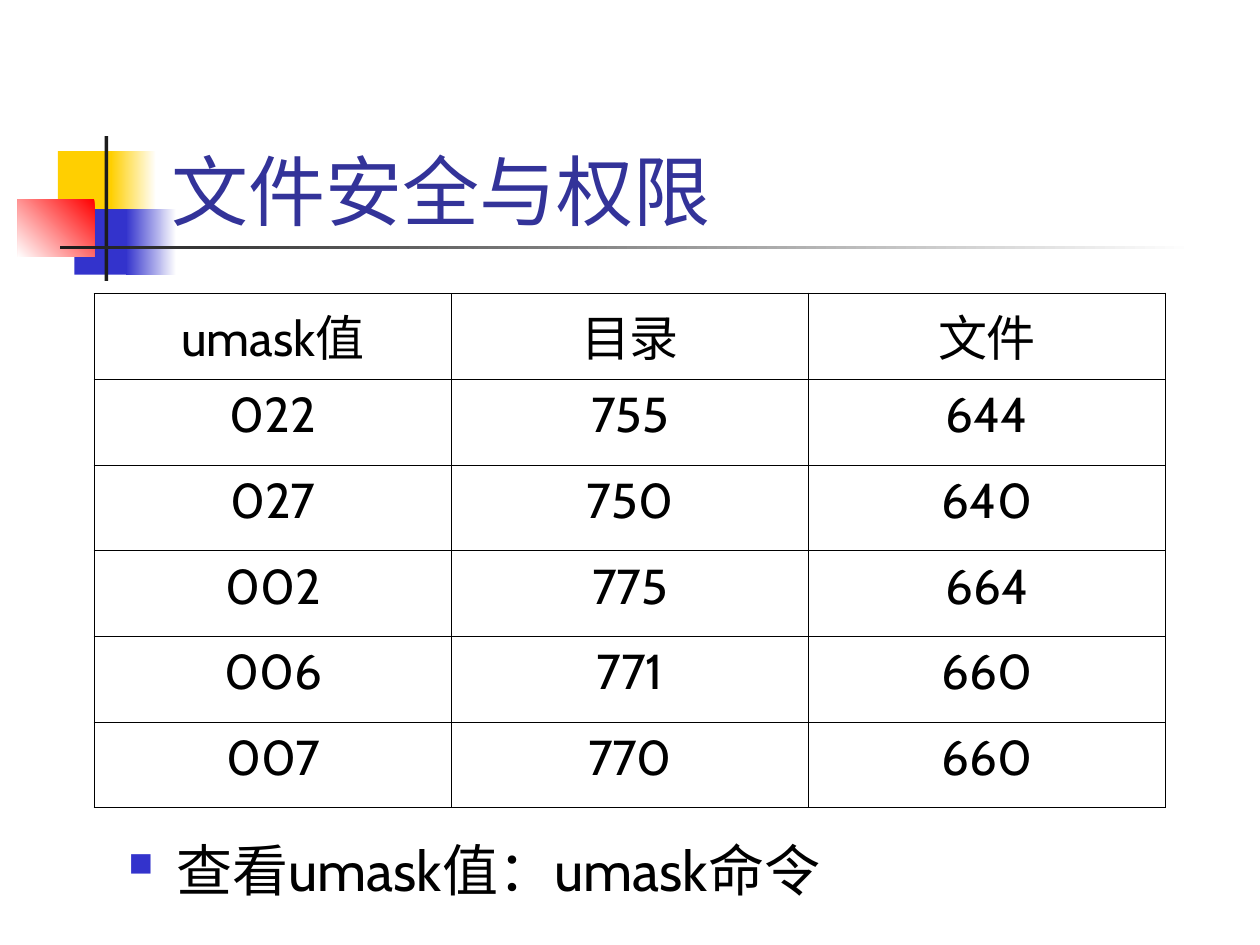
from lxml import etree
from pptx import Presentation
from pptx import util as u
from pptx.dml import color
from pptx.enum import lang, shapes, text
from pptx.oxml import ns

COLORS = {
    "yellow": "FFCF01",
    "blue": "3333CC",
    "red": "FF0000",
    "white": "FFFFFF",
    "dark": "1C1C1C",
    "title": "333399",
    "black": "000000",
}
FONT = "Cabin"
THIN, THICK = 0.45, 1.08
ROWS = [
    ("umask值", "目录", "文件"),
    ("022", "755", "644"),
    ("027", "750", "640"),
    ("002", "775", "664"),
    ("006", "771", "660"),
    ("007", "770", "660"),
]


def rgb(name):
    return color.RGBColor.from_string(COLORS[name])


def add_child(parent, tag, **attributes):
    return etree.SubElement(parent, ns.qn(tag), attributes)


def write_text(frame, words, size, fill="black", align=text.PP_ALIGN.LEFT, before=0):
    para = frame.paragraphs[0]
    para.alignment = align
    para.space_before = u.Pt(before)
    span = para.add_run()
    span.text = words
    span.font.name = FONT
    span.font.size = u.Pt(size)
    span.font.color.rgb = rgb(fill)
    span.font.language_id = lang.MSO_LANGUAGE_ID.SIMPLIFIED_CHINESE
    return para


def add_block(page, box, fills, angle=180):
    block = page.shapes.add_shape(shapes.MSO_SHAPE.RECTANGLE, *map(u.Inches, box))
    block.shadow.inherit = False
    block.line.fill.background()
    if len(fills) == 1:
        block.fill.solid()
        block.fill.fore_color.rgb = rgb(fills[0])
        return
    block.fill.gradient()
    block.fill.gradient_angle = angle
    for stop, name in zip(block.fill.gradient_stops, fills):
        stop.color.rgb = rgb(name)


def add_emblem(page, box):
    left, top, width, height = box
    add_block(page, (left + 0.32, top + 0.12, 0.48, 0.52), ["yellow"])
    add_block(page, (left + 0.74, top + 0.12, 0.36, 0.52), ["white", "yellow"])
    add_block(page, (left + 0.45, top + 0.58, 0.46, 0.52), ["blue"])
    add_block(page, (left + 0.86, top + 0.58, 0.4, 0.52), ["white", "blue"])
    add_block(page, (left, top + 0.5, 0.61, 0.46), ["red", "white"], 225)
    add_block(page, (left + 0.69, top, 0.03, height), ["dark"])
    add_block(page, (left + 0.34, top + 0.87, width - 0.34, 0.03), ["white", "dark"])


def add_title(page, box):
    title = page.shapes.add_textbox(*map(u.Inches, box))
    title.text_frame.word_wrap = True
    title.text_frame.vertical_anchor = text.MSO_ANCHOR.BOTTOM
    write_text(title.text_frame, "文件安全与权限", 44, fill="title")


def add_bullet(page, box):
    body = page.shapes.add_textbox(*map(u.Inches, box))
    body.text_frame.word_wrap = True
    para = write_text(body.text_frame, "查看umask值：umask命令", 32, before=8)
    props = para._p.get_or_add_pPr()
    props.set("marL", str(u.Inches(0.38)))
    props.set("indent", str(u.Inches(-0.38)))
    add_child(add_child(props, "a:buClr"), "a:srgbClr", val=COLORS["blue"])
    add_child(props, "a:buSzPct", val="60000")
    add_child(props, "a:buChar", char="■")


def set_borders(cell, widths):
    props = cell._tc.get_or_add_tcPr()
    for side, width in zip("LRTB", widths):
        line = add_child(props, f"a:ln{side}", w=str(u.Pt(width)))
        add_child(add_child(line, "a:solidFill"), "a:srgbClr", val=COLORS["black"])


def add_mask_table(page, box):
    columns = len(ROWS[0])
    table = page.shapes.add_table(len(ROWS), columns, *map(u.Inches, box)).table
    table.first_row = False
    table.horz_banding = False
    for r, row in enumerate(ROWS):
        for c, words in enumerate(row):
            cell = table.cell(r, c)
            heavy = (c == 0, c == columns - 1, r == 0 and c > 0, r == len(ROWS) - 1)
            set_borders(cell, [THICK if edge else THIN for edge in heavy])
            cell.fill.background()
            write_text(cell.text_frame, words, 28, align=text.PP_ALIGN.CENTER, before=7)


def main():
    deck = Presentation()
    deck.slide_width, deck.slide_height = u.Inches(10), u.Inches(7.5)
    page = deck.slides.add_slide(deck.slide_layouts[6])
    add_emblem(page, (0.14, 1.08, 9.34, 1.15))
    add_title(page, (1.26, 0.67, 8.52, 1.25))
    add_bullet(page, (0.92, 6.58, 8.5, 4.5))
    add_mask_table(page, (0.75, 2.33, 8.5, 4.08))
    deck.save("out.pptx")


if __name__ == "__main__":
    main()
